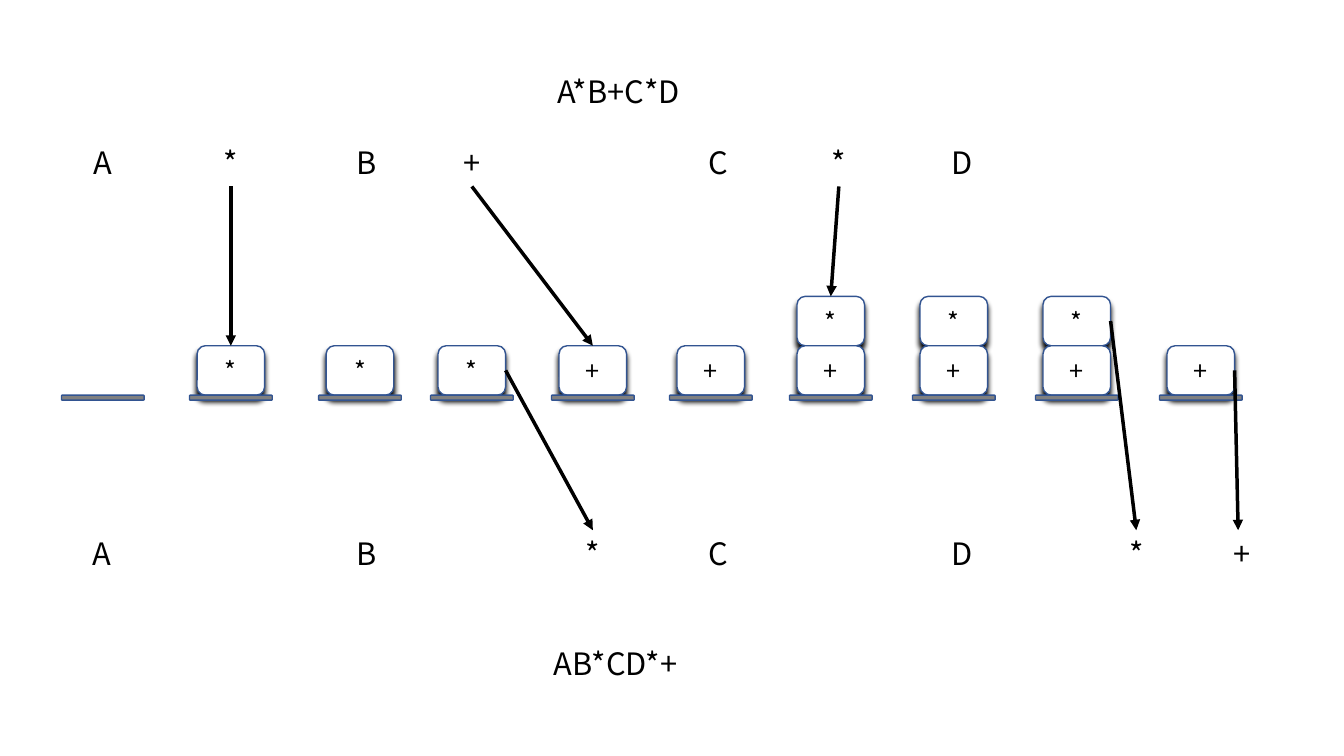
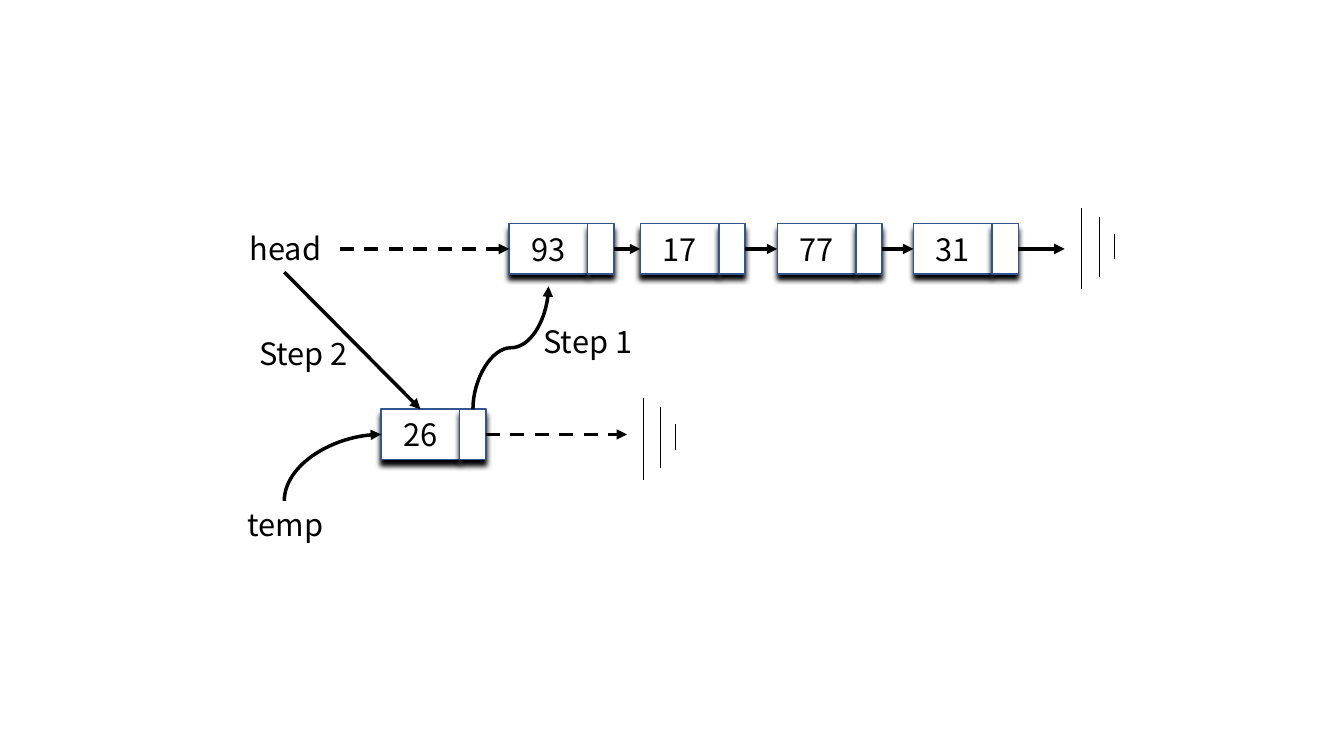
from lxml import etree
from pptx import Presentation
from pptx.dml.color import RGBColor
from pptx.enum.dml import MSO_LINE
from pptx.enum.shapes import MSO_CONNECTOR, MSO_SHAPE
from pptx.enum.text import MSO_ANCHOR, MSO_AUTO_SIZE, PP_ALIGN
from pptx.oxml.ns import qn
from pptx.util import Inches, Pt

RECT, ROUND = MSO_SHAPE.RECTANGLE, MSO_SHAPE.ROUNDED_RECTANGLE
STRAIGHT, CURVE = MSO_CONNECTOR.STRAIGHT, MSO_CONNECTOR.CURVE
CENTER, MIDDLE = PP_ALIGN.CENTER, MSO_ANCHOR.MIDDLE
GROW, DASH = MSO_AUTO_SIZE.SHAPE_TO_FIT_TEXT, MSO_LINE.DASH

COLORS = {"ink": "000000", "paper": "FFFFFF", "edge": "325491", "base": "808080"}
FONT = "Noto Sans CJK KR"

# The grid unit is one inch; sizes below are in grid units
SLIDE_W, SLIDE_H = 13.33, 7.5
LABEL_H = 0.47
BAR_W, BAR_H = 0.82, 0.05
ITEM_W, ITEM_H = 0.67, 0.49
VALUE_W, POINTER_W, NODE_H = 0.78, 0.26, 0.5
NODE_W = VALUE_W + POINTER_W


def color(name):
    return RGBColor.from_string(COLORS[name])


# Shared parts
def write(sp, text, size):
    tf = sp.text_frame
    tf.text = text
    p = tf.paragraphs[0]
    p.alignment = CENTER
    for r in p.runs:
        r.font.size = Pt(size)
        r.font.name = FONT
        r.font.color.rgb = color("ink")


def label(s, text, x, y, w):
    sp = s.shapes.add_textbox(Inches(x), Inches(y), Inches(w), Inches(LABEL_H))
    sp.text_frame.word_wrap = True
    sp.text_frame.auto_size = GROW
    write(sp, text, 22)


def block(s, kind, x, y, w, h, fill="paper", text="", size=22, shadow=True):
    sp = s.shapes.add_shape(kind, Inches(x), Inches(y), Inches(w), Inches(h))
    sp.fill.solid()
    sp.fill.fore_color.rgb = color(fill)
    sp.line.color.rgb = color("edge")
    sp.line.width = Pt(1)
    sp.shadow.inherit = False
    if shadow:
        effects = sp._element.spPr.find(qn("a:effectLst"))
        outer = etree.SubElement(effects, qn("a:outerShdw"), blurRad=str(Pt(4)),
                                 dist=str(Pt(4)), dir="5400000", rotWithShape="0")
        etree.SubElement(outer, qn("a:srgbClr"), val=COLORS["ink"])
    if text:
        sp.text_frame.vertical_anchor = MIDDLE
        write(sp, text, size)


def line(s, start, end, width=2.5, kind=STRAIGHT, dash=False, arrow=True):
    c = s.shapes.add_connector(kind, *(Inches(v) for v in (*start, *end)))
    c.line.color.rgb = color("ink")
    c.line.width = Pt(width)
    if dash:
        c.line.dash_style = DASH
    if arrow:
        etree.SubElement(c.line._get_or_add_ln(), qn("a:tailEnd"), type="triangle")
    etree.SubElement(c._element.spPr, qn("a:effectLst"))
    return c


def rising_curve(s, start, end, preset):
    """Curve that leaves start upwards and ends to the upper right."""
    (x1, y1), (x2, y2) = start, end
    cx, cy = (x1 + x2) / 2, (y1 + y2) / 2
    dx, dy = (y1 - y2) / 2, (x2 - x1) / 2
    c = line(s, (cx + dx, cy + dy), (cx - dx, cy - dy), kind=CURVE)
    spPr = c._element.spPr
    spPr.find(qn("a:xfrm")).set("rot", "5400000")
    spPr.find(qn("a:prstGeom")).set("prst", preset)


# Slide 1: operator stacks
def stack(s, x, y, items):
    """Items from bottom to top, standing on a bar whose top left is x, y."""
    for level in range(len(items), 0, -1):
        block(s, ROUND, x + (BAR_W - ITEM_W) / 2, y - level * ITEM_H,
              ITEM_W, ITEM_H, text=items[level - 1], size=18)
    block(s, ROUND, x, y, BAR_W, BAR_H, fill="base", shadow=False)


def token_row(s, y, tokens):
    for text, x in tokens:
        label(s, text, x, y, BAR_W)


def postfix_slide(s):
    bar_y, in_y, out_y = 3.92, 1.38, 5.26
    stacks = [(0.61, ""), (1.88, "*"), (3.16, "*"), (4.27, "*"), (5.47, "+"),
              (6.64, "+"), (7.83, "+*"), (9.05, "+*"), (10.27, "+*"), (11.5, "+")]
    # Expressions and tokens
    label(s, "A*B+C*D", 4.86, 0.67, 2.55)
    token_row(s, in_y, [("A", 0.61), ("*", 1.88), ("B", 3.23), ("+", 4.27),
                        ("C", 6.71), ("*", 7.91), ("D", 9.13)])
    for x, items in stacks:
        stack(s, x, bar_y, items)
    token_row(s, out_y, [("A", 0.6), ("B", 3.23), ("*", 5.47), ("C", 6.71),
                         ("D", 9.13), ("*", 10.86), ("+", 11.91)])
    label(s, "AB*CD*+", 4.83, 6.35, 2.55)
    # Pushes: token to the top of a stack
    for token_x, column in [(2.29, 1), (4.68, 4), (8.32, 6)]:
        x, items = stacks[column]
        line(s, (token_x, in_y + LABEL_H),
             (x + BAR_W / 2, bar_y - len(items) * ITEM_H))
    # Pops: top of a stack to the output
    for column, output_x in [(3, 5.88), (8, 11.27), (9, 12.28)]:
        x, items = stacks[column]
        line(s, (x + (BAR_W + ITEM_W) / 2, bar_y - (len(items) - 0.5) * ITEM_H),
             (output_x, out_y))


# Slide 2: linked list
def node(s, x, y, text):
    block(s, RECT, x, y, VALUE_W, NODE_H, text=text)
    block(s, RECT, x + VALUE_W, y, POINTER_W, NODE_H)


def ground(s, x, y):
    for dx, dy, h in [(0, 0, 0.81), (0.17, 0.09, 0.6), (0.32, 0.26, 0.25)]:
        line(s, (x + dx, y + dy), (x + dx, y + dy + h), width=0.5, arrow=False)


def linked_list_slide(s):
    list_y, new_x, new_y = 2.22, 3.78, 4.06
    list_mid, new_mid = list_y + NODE_H / 2, new_y + NODE_H / 2
    nodes = [("93", 5.05), ("17", 6.35), ("77", 7.71), ("31", 9.06)]
    # List and its end
    ground(s, 10.73, 2.06)
    for text, x in nodes:
        node(s, x, list_y, text)
    targets = [x for _, x in nodes[1:]] + [10.56]
    for (_, x), target in zip(nodes, targets):
        line(s, (x + NODE_W, list_mid), (target, list_mid))
    # New node and its old end
    node(s, new_x, new_y, "26")
    ground(s, 6.38, 3.95)
    line(s, (new_x + NODE_W, new_mid), (6.22, new_mid), dash=True)
    # Names and steps
    for text, x, y in [("head", 2.28, 2.23), ("temp", 2.28, 4.97),
                       ("Step 2", 2.46, 3.27), ("Step 1", 5.28, 3.15)]:
        label(s, text, x, y, 1.1)
    line(s, (3.37, list_mid), (nodes[0][1], list_mid), dash=True)
    line(s, (2.82, 2.7), (new_x + VALUE_W / 2, new_y))
    rising_curve(s, (2.82, 4.97), (new_x, new_mid), "curvedConnector2")
    rising_curve(s, (new_x + VALUE_W + POINTER_W / 2, new_y), (5.44, 2.84),
                 "curvedConnector3")


prs = Presentation()
prs.slide_width, prs.slide_height = Inches(SLIDE_W), Inches(SLIDE_H)
for build in (postfix_slide, linked_list_slide):
    build(prs.slides.add_slide(prs.slide_layouts[6]))
prs.save("out.pptx")
